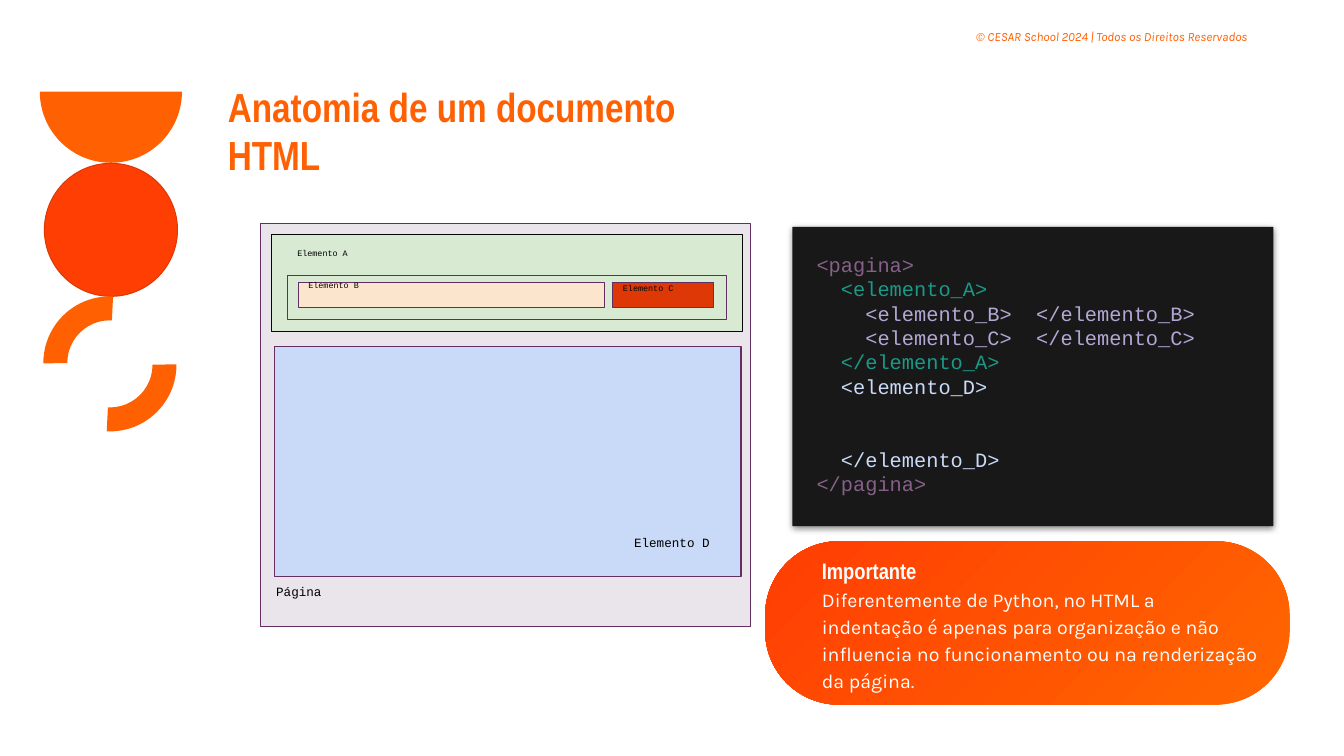
import math
import pptx
import pptx.dml.color
import pptx.enum.shapes
import pptx.enum.text
import pptx.oxml
import pptx.oxml.ns
import pptx.util
from pptx.util import Inches

SHAPES = pptx.enum.shapes.MSO_SHAPE
ALIGN = pptx.enum.text.PP_ALIGN
ANCHOR = pptx.enum.text.MSO_ANCHOR
ORANGE, RED, PURPLE = "FF6002", "FF3E03", "632E62"


def paint(target, color):
    """Give a fill a solid colour, or a font or line its colour."""
    rgb = pptx.dml.color.RGBColor.from_string(color)
    if hasattr(target, "solid"):
        target.solid()
        target.fore_color.rgb = rgb
    else:
        target.color.rgb = rgb


def write(paragraph, text, font, size, color, bold=False, italic=False):
    run = paragraph.add_run()
    run.text = text
    run.font.name = font
    run.font.size = pptx.util.Pt(size)
    run.font.bold = bold
    run.font.italic = italic
    paint(run.font, color)


deck = pptx.Presentation()
deck.slide_width, deck.slide_height = Inches(13.33), Inches(7.5)
slide = deck.slides.add_slide(deck.slide_layouts[5])
shapes = slide.shapes

# Title
title = shapes.title
title.left, title.top = Inches(2.16), Inches(0.71)
title.width, title.height = Inches(5.3), Inches(0.62)
heading = title.text_frame
heading.auto_size = pptx.enum.text.MSO_AUTO_SIZE.NONE
heading.word_wrap = True
heading.vertical_anchor = ANCHOR.TOP
heading.margin_left = heading.margin_right = Inches(0.1)
heading.margin_top = heading.margin_bottom = Inches(0.1)
heading.paragraphs[0].alignment = ALIGN.LEFT
write(heading.paragraphs[0], "Anatomia de um documento HTML", "Arial Narrow", 29, ORANGE, bold=True)

# Ornament on the left: half disc, disc, two quarter rings
radius, center_x, flat_y = 0.705, 1.1, 0.91
rim = [
    (Inches(center_x + radius * math.cos(math.radians(a))),
     Inches(flat_y + radius * math.sin(math.radians(a))))
    for a in range(0, 181, 2)
]
outline = shapes.build_freeform(*rim[0])
outline.add_line_segments(rim[1:], close=True)
half_disc = outline.convert_to_shape()
half_disc.shadow.inherit = False
paint(half_disc.fill, ORANGE)
half_disc.line.fill.background()

disc = shapes.add_shape(SHAPES.OVAL, Inches(0.44), Inches(1.62), Inches(1.32), Inches(1.32))
disc.shadow.inherit = False
paint(disc.fill, RED)
paint(disc.line, "DD3805")
disc.line.width = pptx.util.Pt(0.75)

for top, turn in ((2.94, 270), (2.96, 90)):
    ring = shapes.add_shape(SHAPES.BLOCK_ARC, Inches(0.43), Inches(top), Inches(1.32), Inches(1.32))
    ring.shadow.inherit = False
    for i, value in enumerate((161.78, 1.63, 0.18)):
        ring.adjustments[i] = value
    ring.rotation = turn
    paint(ring.fill, ORANGE)
    ring.line.fill.background()

# Nested boxes of the page diagram: left, top, width, height, fill, line
for left, top, width, height, fill, line in (
    (2.58, 2.22, 4.86, 4, "EAE5EB", PURPLE),
    (2.69, 2.33, 4.67, 0.96, "D9EAD3", "070606"),
    (2.85, 2.73, 4.36, 0.44, None, PURPLE),
    (2.96, 2.8, 3.04, 0.25, "FCE5CD", PURPLE),
    (6.08, 2.8, 1, 0.25, "DD3805", PURPLE),
    (2.72, 3.44, 4.63, 2.28, "C9DAF8", PURPLE),
):
    element = shapes.add_shape(
        SHAPES.RECTANGLE, Inches(left), Inches(top), Inches(width), Inches(height))
    element.shadow.inherit = False
    if fill:
        paint(element.fill, fill)
    else:
        element.fill.background()
    paint(element.line, line)
    element.line.width = pptx.util.Pt(0.75)

# Diagram labels and copyright line
MONO = "Courier New"
for text, left, top, width, height, inset, font, size, color in (
    ("Página", 2.64, 5.72, 1.45, 0.33, 0.1, MONO, 9, "000000"),
    ("Elemento A", 2.85, 2.41, 1.61, 0.39, 0.1, MONO, 6, "000000"),
    ("Elemento B", 2.96, 2.73, 1.61, 0.39, 0.1, MONO, 6, "070606"),
    ("Elemento C", 6.08, 2.76, 1.61, 0.39, 0.1, MONO, 6, "070606"),
    ("Elemento D", 6.19, 5.23, 1.11, 0.44, 0.1, MONO, 9, "000000"),
    ("© CESAR School 2024 | Todos os Direitos Reservados",
     9.55, 0.22, 2.95, 0.34, 0.07, "Karla", 9, ORANGE),
):
    label = shapes.add_textbox(Inches(left), Inches(top), Inches(width), Inches(height)).text_frame
    label.word_wrap = True
    label.margin_left = label.margin_right = Inches(inset)
    label.margin_top = label.margin_bottom = Inches(inset)
    is_copyright = font == "Karla"
    label.paragraphs[0].alignment = ALIGN.CENTER if is_copyright else ALIGN.LEFT
    write(label.paragraphs[0], text, font, size, color, italic=is_copyright)

# Code panel with a soft shadow
panel = shapes.add_shape(SHAPES.RECTANGLE, Inches(7.86), Inches(2.25), Inches(4.77), Inches(2.97))
panel.shadow.inherit = False
paint(panel.fill, "181818")
panel.line.fill.background()
effects = panel._element.spPr.find(pptx.oxml.ns.qn("a:effectLst"))
effects.append(pptx.oxml.parse_xml(
    f'<a:outerShdw {pptx.oxml.ns.nsdecls("a")} blurRad="57150" dist="19050" dir="5400000" '
    'algn="bl" rotWithShape="0"><a:srgbClr val="000000"><a:alpha val="50000"/></a:srgbClr>'
    '</a:outerShdw>'))

# Code: text, colour, space before in points
code = shapes.add_textbox(Inches(8), Inches(2.4), Inches(4.05), Inches(2.64)).text_frame
code.word_wrap = True
code.margin_left = code.margin_right = Inches(0.1)
code.margin_top = code.margin_bottom = Inches(0.1)
for i, (text, color, gap) in enumerate((
    ("<pagina>", "866088", 0),
    ("  <elemento_A>", "1A9988", 0),
    ("    <elemento_B>  </elemento_B>", "B4A7D5", 0),
    ("    <elemento_C>  </elemento_C>", "B4A7D5", 0),
    ("  </elemento_A>", "1A9988", 0),
    ("  <elemento_D>", "CADAF7", 0),
    ("  </elemento_D>", "CADAF7", 35),
    ("</pagina>", "866088", 0),
)):
    row = code.add_paragraph() if i else code.paragraphs[0]
    if gap:
        row.space_before = pptx.util.Pt(gap)
    write(row, text, MONO, 14.5, color)

# Callout
callout = shapes.add_shape(
    SHAPES.ROUNDED_RECTANGLE, Inches(7.59), Inches(5.37), Inches(5.2), Inches(1.62))
callout.shadow.inherit = False
callout.adjustments[0] = 0.45
callout.line.fill.background()
callout.fill.gradient()
callout.fill.gradient_angle = 135
for stop, color in zip(callout.fill.gradient_stops, ("FF6600", RED)):
    paint(stop, color)
note = callout.text_frame
note.word_wrap = True
note.vertical_anchor = ANCHOR.MIDDLE
note.margin_left = note.margin_right = Inches(0.1)
note.margin_top = note.margin_bottom = Inches(0.1)
write(note.paragraphs[0], "Importante", "Arial Narrow", 16, "FFFFFF", bold=True)
write(note.add_paragraph(),
      "Diferentemente de Python, no HTML a indentação é apenas para organização e não "
      "influencia no funcionamento ou na renderização da página.",
      "Karla", 14, "FFFFFF")
for paragraph in note.paragraphs:
    paragraph.alignment = ALIGN.LEFT
    paragraph.line_spacing = 1.15
    paragraph._p.get_or_add_pPr().set("marL", str(Inches(0.25)))

deck.save("out.pptx")
